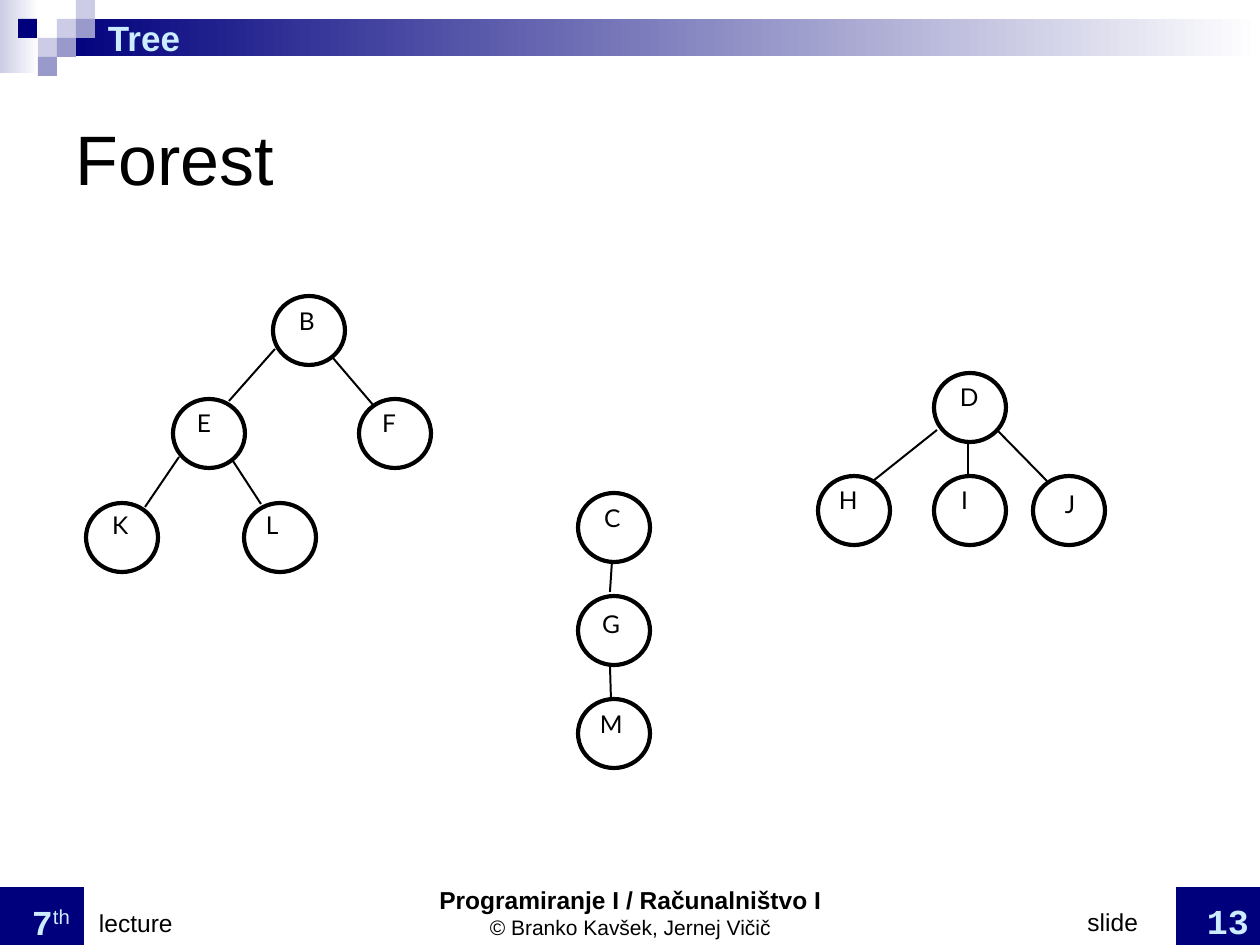
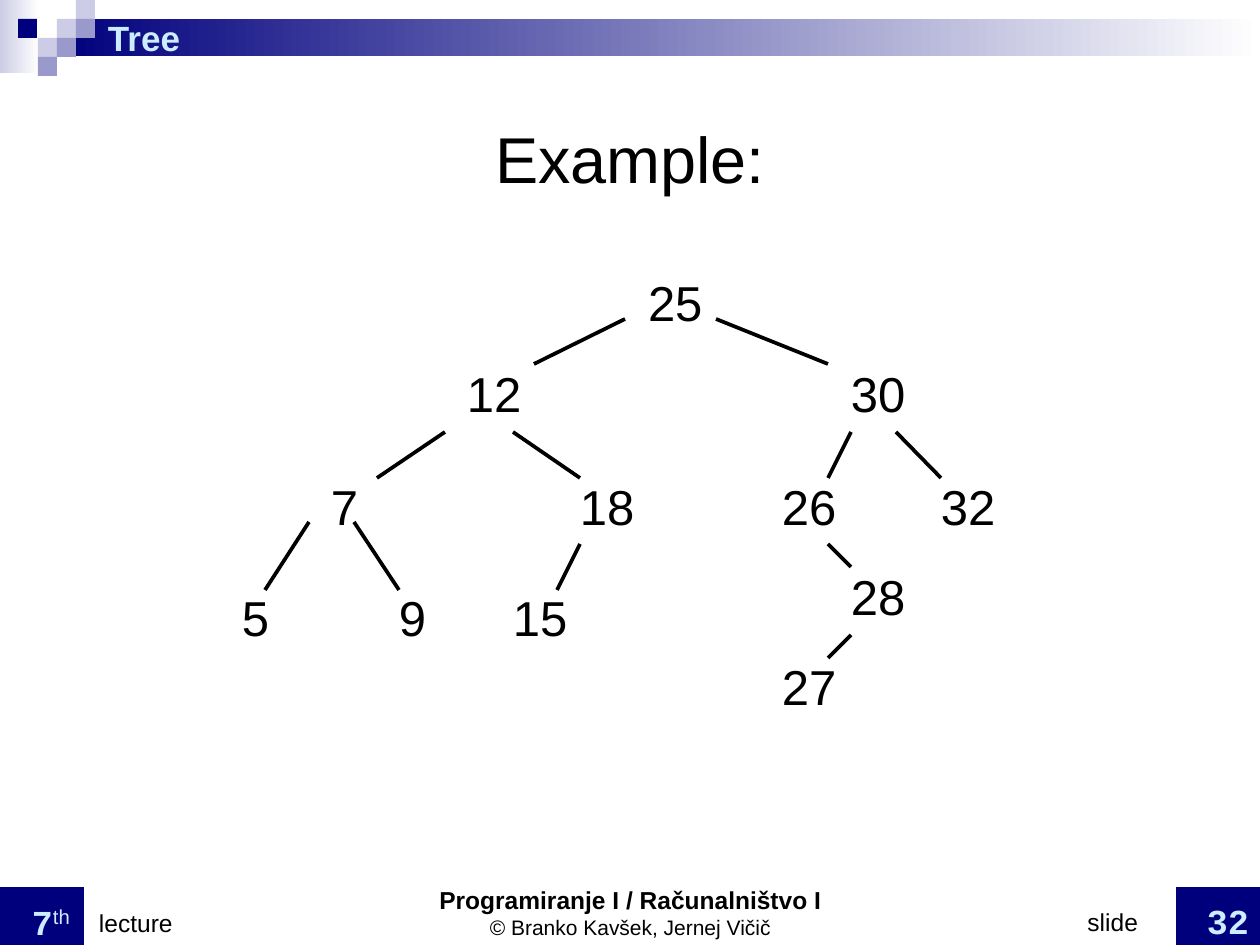
from lxml import etree
from pptx import Presentation
from pptx.dml.color import RGBColor
from pptx.enum.shapes import MSO_CONNECTOR, MSO_SHAPE
from pptx.enum.text import MSO_ANCHOR, MSO_AUTO_SIZE, PP_ALIGN
from pptx.oxml.ns import qn
from pptx.util import Pt

PX = 914400 / 126
LEFT, CENTER, RIGHT = PP_ALIGN.LEFT, PP_ALIGN.CENTER, PP_ALIGN.RIGHT
TOP, MIDDLE, BOTTOM = MSO_ANCHOR.TOP, MSO_ANCHOR.MIDDLE, MSO_ANCHOR.BOTTOM
RECTANGLE, OVAL = MSO_SHAPE.RECTANGLE, MSO_SHAPE.OVAL
STRAIGHT = MSO_CONNECTOR.STRAIGHT
NO_AUTOFIT = MSO_AUTO_SIZE.NONE
TITLE_ONLY = 5

colour = RGBColor.from_string
NAVY, LILAC, PALE, ICE = "00007D", "9999CC", "CCCCE6", "CCECFF"
BLACK, WHITE = "000000", "FFFFFF"

# Text formats
BANNER = {"name": "Arial", "size": Pt(20), "bold": True, "color": ICE}
NUMBER = {**BANNER, "name": "Courier New"}
ORDINAL = {**BANNER, "bold": False}
FOOTER = {"name": "Arial", "size": Pt(14), "bold": False, "color": BLACK}
COURSE = {**FOOTER, "bold": True}
AUTHORS = {**FOOTER, "size": Pt(12)}
NODE_LETTER = {**FOOTER, "name": "Lato"}
NODE_NUMBER = {**FOOTER, "size": Pt(28)}


def fill_text(shape, paragraphs, anchor=TOP, alignment=LEFT, margin=0, wrap=True):
    """Write paragraphs, each a list of (text, format) runs, into a shape."""
    frame = shape.text_frame
    frame.auto_size = NO_AUTOFIT
    frame.word_wrap = wrap
    frame.vertical_anchor = anchor
    frame.margin_left = frame.margin_right = int(margin * PX)
    frame.margin_top = frame.margin_bottom = 0
    for index, runs in enumerate(paragraphs):
        paragraph = frame.add_paragraph() if index else frame.paragraphs[0]
        paragraph.alignment = alignment
        for text, text_format in runs:
            run = paragraph.add_run()
            run.text = text
            for key, value in text_format.items():
                if key == "color":
                    run.font.color.rgb = colour(value)
                else:
                    setattr(run.font, key, value)
            if text_format is ORDINAL:
                run._r.get_or_add_rPr().set("baseline", "30000")


def add_edges(slide, edges, width):
    """Draw black lines given as (x1, y1, x2, y2)."""
    for edge in edges:
        connector = slide.shapes.add_connector(STRAIGHT, *[int(v * PX) for v in edge])
        connector.line.color.rgb = colour(BLACK)
        connector.line.width = Pt(width)
        etree.SubElement(connector._element.spPr, qn("a:effectLst"))


presentation = Presentation()
presentation.slide_width = int(1260 * PX)
presentation.slide_height = int(945 * PX)

# Shared bands and squares: left, top, width, height, colour, fades to white
decorations = [
    (1176, 887, 84, 58, NAVY, False),
    (0, 887, 84, 58, NAVY, False),
    (0, 0, 39, 73, PALE, True),
    (57, 19, 1203, 37, NAVY, True),
    (57, 19, 19, 19, PALE, False),
    (76, 0, 19, 19, PALE, False),
    (76, 19, 19, 19, LILAC, False),
    (38, 38, 19, 19, PALE, False),
    (18, 19, 19, 19, NAVY, False),
    (57, 38, 19, 19, LILAC, False),
    (38, 57, 19, 19, LILAC, False),
]

# Slide titles: text, size, alignment, slide number
titles = [("Forest", 40, LEFT, "13"), ("Example:", 37, CENTER, "32")]

slides = []
for title, size, title_alignment, number in titles:
    slide = presentation.slides.add_slide(presentation.slide_layouts[TITLE_ONLY])
    slides.append(slide)

    for *box, hex_colour, fades in decorations:
        shape = slide.shapes.add_shape(RECTANGLE, *[int(v * PX) for v in box])
        shape.shadow.inherit = False
        shape.line.fill.background()
        if fades:
            shape.fill.gradient()
            shape.fill.gradient_angle = 180
            for stop, stop_colour in zip(shape.fill.gradient_stops, (WHITE, hex_colour)):
                stop.color.rgb = colour(stop_colour)
        else:
            shape.fill.solid()
            shape.fill.fore_color.rgb = colour(hex_colour)

    # Banner and footer texts: left, top, width, height, anchor, alignment, paragraphs
    captions = [
        (108, 19, 830, 37, MIDDLE, LEFT, [[("Tree", BANNER)]]),
        (412, 883, 437, 57, BOTTOM, CENTER,
         [[("Programiranje I / Računalništvo I", COURSE)],
          [("© Branko Kavšek, Jernej Vičič", AUTHORS)]]),
        (32, 887, 52, 55, BOTTOM, LEFT, [[("7", NUMBER), ("th", ORDINAL)]]),
        (99, 887, 190, 50, BOTTOM, LEFT, [[("lecture", FOOTER)]]),
        (968, 887, 170, 49, BOTTOM, RIGHT, [[("slide", FOOTER)]]),
        (1176, 887, 73, 54, BOTTOM, RIGHT, [[(number, NUMBER)]]),
    ]
    for *box, anchor, alignment, paragraphs in captions:
        shape = slide.shapes.add_textbox(*[int(v * PX) for v in box])
        fill_text(shape, paragraphs, anchor, alignment)

    # Title placeholder
    shape = slide.shapes.title
    shape.left, shape.top, shape.width, shape.height = [
        int(v * PX) for v in (63, 63, 1134, 189)]
    title_format = {**FOOTER, "size": Pt(size)}
    fill_text(shape, [[(title, title_format)]], MIDDLE, title_alignment, margin=13)

forest_slide, example_slide = slides

# Forest nodes: letter, circle left and top, letter left and top
forest_nodes = [
    ("B", 273, 296, 299, 306),
    ("E", 173, 399, 197, 408),
    ("F", 359, 399, 382, 408),
    ("K", 86, 503, 112, 510),
    ("L", 244, 503, 266, 510),
    ("C", 578, 493, 604, 503),
    ("G", 578, 596, 602, 609),
    ("M", 578, 699, 600, 709),
    ("D", 934, 373, 960, 382),
    ("H", 818, 476, 839, 485),
    ("I", 934, 476, 961, 485),
    ("J", 1033, 476, 1065, 489),
]
for letter, left, top, letter_left, letter_top in forest_nodes:
    circle = forest_slide.shapes.add_shape(
        OVAL, *[int(v * PX) for v in (left, top, 72, 69)])
    circle.shadow.inherit = False
    circle.fill.solid()
    circle.fill.fore_color.rgb = colour(WHITE)
    circle.line.color.rgb = colour(BLACK)
    circle.line.width = Pt(2.38)
    label = forest_slide.shapes.add_textbox(
        *[int(v * PX) for v in (letter_left, letter_top, 16, 29)])
    fill_text(label, [[(letter, NODE_LETTER)]], wrap=False)

forest_edges = [
    (275, 349, 229, 401), (333, 358, 374, 406),
    (179, 457, 145, 507), (233, 461, 261, 504),
    (612, 561, 610, 592), (610, 665, 611, 699),
    (937, 430, 873, 481), (968, 442, 968, 475), (998, 431, 1047, 481),
]
add_edges(forest_slide, forest_edges, 1.13)

# Search tree: level top, then number and left of each node
tree_levels = {
    273: [("25", 648)],
    363: [("12", 467), ("30", 851)],
    476: [("7", 331), ("18", 580), ("26", 782), ("32", 941)],
    588: [("5", 242), ("9", 399), ("15", 513)],
    566: [("28", 851)],
    656: [("27", 782)],
}
for top, nodes in tree_levels.items():
    for value, left in nodes:
        label = example_slide.shapes.add_textbox(
            *[int(v * PX) for v in (left, top, 27 * len(value), 59)])
        fill_text(label, [[(value, NODE_NUMBER)]], wrap=False)

tree_edges = [
    (534, 364, 625, 319), (716, 319, 828, 364),
    (377, 478, 445, 432), (513, 432, 580, 478),
    (851, 432, 828, 478), (896, 432, 941, 478),
    (309, 522, 265, 590), (354, 522, 399, 590),
    (580, 544, 557, 590), (828, 544, 851, 567),
    (828, 658, 851, 635),
]
add_edges(example_slide, tree_edges, 2.13)

presentation.save("out.pptx")
